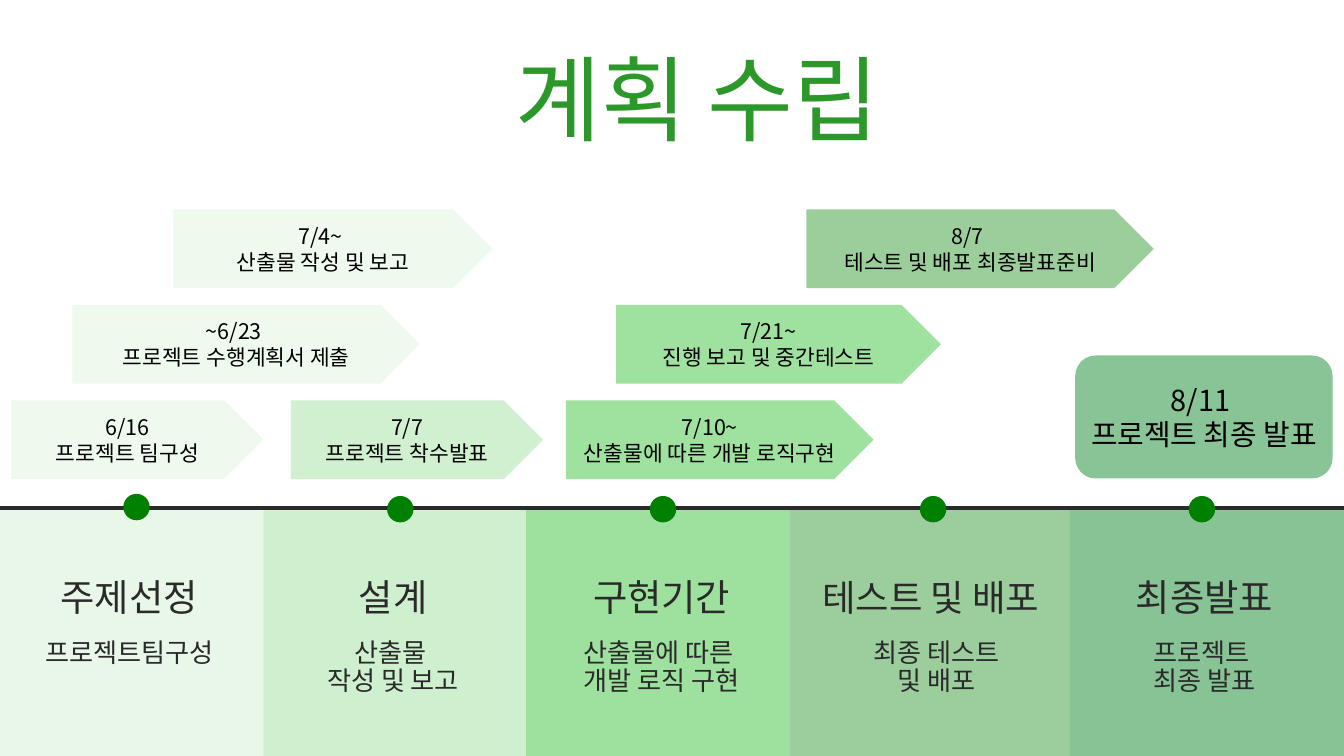
from lxml.etree import SubElement
from pptx import Presentation
from pptx.dml.color import RGBColor
from pptx.enum.shapes import MSO_CONNECTOR, MSO_SHAPE
from pptx.enum.text import MSO_ANCHOR, PP_ALIGN
from pptx.oxml.ns import qn
from pptx.util import Cm, Pt

FONT = "Noto Sans CJK KR"
rgb = RGBColor.from_string

prs = Presentation()
prs.slide_width, prs.slide_height = Cm(50.8), Cm(28.58)
s = prs.slides.add_slide(prs.slide_layouts[6])


def add_box(kind, x, y, w, h, color, opacity=100):
    sp = s.shapes.add_shape(kind, Cm(x), Cm(y), Cm(w), Cm(h))
    sp.shadow.inherit = False
    sp.line.fill.background()
    sp.fill.solid()
    sp.fill.fore_color.rgb = rgb(color)
    if opacity < 100:
        clr = sp._element.spPr.find(".//" + qn("a:srgbClr"))
        SubElement(clr, qn("a:alpha"), val=str(opacity * 1000))
    return sp


def write(sp, lines, size, color, spacing=None):
    tf = sp.text_frame
    tf.word_wrap = True
    if spacing:  # labels outside shapes sit flush with their box
        tf.margin_left = tf.margin_right = tf.margin_top = tf.margin_bottom = 0
    else:
        tf.vertical_anchor = MSO_ANCHOR.MIDDLE
    for i, line in enumerate(lines):
        p = tf.add_paragraph() if i else tf.paragraphs[0]
        p.alignment = PP_ALIGN.CENTER
        if spacing:
            p.line_spacing = Pt(spacing)
        r = p.add_run()
        r.text = line
        r.font.size = Pt(size)
        r.font.name = FONT
        r.font.color.rgb = rgb(color)
        SubElement(r._r.get_or_add_rPr(), qn("a:ea"), typeface=FONT)


# Phase columns
edges = [0, 9.96, 19.89, 29.85, 40.44, 50.8]
fills = [("CCEFCC", 44), ("B5E8B5", 64), ("8FDC8F", 86), ("008000", 39), ("4DA760", 67)]
for left, right, (color, opacity) in zip(edges, edges[1:], fills):
    add_box(MSO_SHAPE.RECTANGLE, left, 19.15, right - left, 9.43, color, opacity)

# Timeline
axis = s.shapes.add_connector(MSO_CONNECTOR.STRAIGHT, 0, Cm(19.2), Cm(50.8), Cm(19.2))
axis.line.color.rgb = rgb("2A2A2A")
axis.line.width = Pt(4)
SubElement(axis._element.spPr, qn("a:effectLst"))

# Dots: centre, top
for cx, y in [(5.16, 18.67), (15.13, 18.75), (25.06, 18.75), (35.27, 18.75), (45.43, 18.75)]:
    add_box(MSO_SHAPE.OVAL, cx - 0.5, y, 1, 1, "008000")

# Phase labels: heading, size, centre, width, then details, centre, width
phases = [
    ("주제선정", 40, 4.89, 6.83, ["프로젝트팀구성"], 4.89, 6.83),
    ("설계", 40, 14.86, 8.53, ["산출물 ", "작성 및 보고"], 14.86, 8.53),
    ("구현기간", 40, 25.01, 6.83, ["산출물에 따른 ", "개발 로직 구현"], 25.01, 6.83),
    ("테스트 및 배포", 39, 35.18, 8.53, ["최종 테스트", "및 배포"], 35.39, 6.83),
    ("최종발표", 40, 45.53, 6.83, ["프로젝트 ", "최종 발표"], 45.53, 6.83),
]
for head, size, hx, hw, details, dx, dw in phases:
    sp = s.shapes.add_textbox(Cm(hx - hw / 2), Cm(22), Cm(hw), Cm(1.4))
    write(sp, [head], size, "2A2A2A", 39.6)
    sp = s.shapes.add_textbox(Cm(dx - dw / 2), Cm(24.14), Cm(dw), Cm(1.09 * len(details)))
    write(sp, details, 28, "2A2A2A", 30.8)

# Title
sp = s.shapes.add_textbox(Cm(8.69), Cm(1.57), Cm(35.33), Cm(4.24))
write(sp, ["계획 수립"], 100, "2C9829", 120)

# Task arrows: left, row, width, colour, opacity, date, task
tasks = [
    (2.74, 1, 13.13, "E9F8E9", 69, "~6/23 ", "프로젝트 수행계획서 제출"),
    (6.55, 0, 12.07, "E9F8E9", 69, "7/4~ ", "산출물 작성 및 보고"),
    (0.43, 2, 9.53, "E9F8E9", 69, "6/16", "프로젝트 팀구성"),
    (11, 2, 9.53, "D0F0D0", 100, "7/7", "프로젝트 착수발표"),
    (21.39, 2, 11.63, "9FE19F", 100, "7/10~", "산출물에 따른 개발 로직구현"),
    (23.29, 1, 12.27, "9FE19F", 100, "7/21~", "진행 보고 및 중간테스트"),
    (30.48, 0, 13.13, "9CCE9C", 100, "8/7 ", "테스트 및 배포 최종발표준비"),
]
for x, row, w, color, opacity, date, task in tasks:
    sp = add_box(MSO_SHAPE.PENTAGON, x, 7.92 + 3.61 * row, w, 2.97, color, opacity)
    write(sp, [date, task], 23, "000000")

# Final presentation
sp = add_box(MSO_SHAPE.ROUNDED_RECTANGLE, 40.64, 13.44, 9.73, 4.65, "88C495")
write(sp, ["8/11 ", "프로젝트 최종 발표"], 31, "000000")

prs.save("out.pptx")
